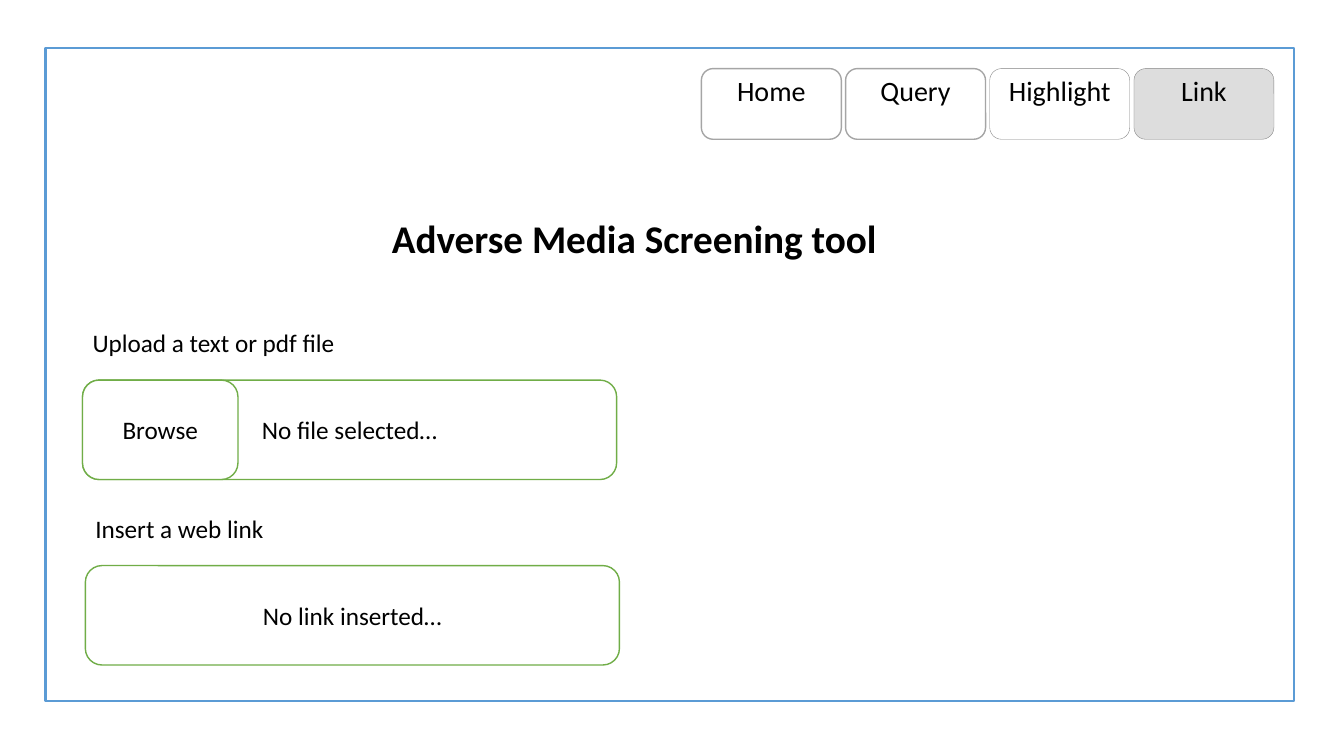
from pptx import Presentation
from pptx.dml.color import RGBColor
from pptx.enum.shapes import MSO_SHAPE
from pptx.enum.text import MSO_ANCHOR, MSO_AUTO_SIZE, PP_ALIGN
from pptx.util import Pt

RECT, ROUND = MSO_SHAPE.RECTANGLE, MSO_SHAPE.ROUNDED_RECTANGLE
TOP, MIDDLE = MSO_ANCHOR.TOP, MSO_ANCHOR.MIDDLE
LEFT, CENTER = PP_ALIGN.LEFT, PP_ALIGN.CENTER

# Content
TITLE = "Adverse Media Screening tool"
TABS = [  # label, fill, line, line width
    ("Home", "white", "tab_line", 1),
    ("Query", "white", "tab_line", 1),
    ("Highlight", "white", "thin_line", 0.25),
    ("Link", "active", "thin_line", 0.25),
]
FIELDS = [  # label, hint, button, left, top
    ("Upload a text or pdf file", "No file selected…", "Browse", 59, 271.5),
    ("Insert a web link", "No link inserted…", None, 61, 404),
]

THEME = {
    "font": "Calibri", "title": 28, "tab": 20, "text": 18,
    "black": "000000", "white": "FFFFFF", "active": "DDDDDD",
    "frame": "5B9BD5", "field": "70AD47",
    "tab_line": "A5A5A5", "thin_line": "808080",
}

# Layout, in points
FRAME = (32.5, 34.5, 892, 466)
TITLE_BOX = (259, 153.5, 388, 51)
TAB_LEFT, TAB_TOP, TAB_W, TAB_H, TAB_PITCH = 501, 49, 100, 50.5, 103
FIELD_W, FIELD_H, BUTTON_W = 381.5, 71, 111
LABEL_W, LABEL_H, LABEL_RISE = 364, 29, 41


def color(name):
    return RGBColor.from_string(THEME[name])


def write(shape, text, size, align=CENTER, anchor=MIDDLE, bold=False):
    tf = shape.text_frame
    tf.word_wrap = True
    tf.vertical_anchor = anchor
    p = tf.paragraphs[0]
    p.text = text
    p.alignment = align
    p.font.name = THEME["font"]
    p.font.size = Pt(THEME[size])
    p.font.bold = bold
    p.font.color.rgb = color("black")
    return tf


def add_box(s, kind, box, fill, line, width):
    sp = s.shapes.add_shape(kind, *map(Pt, box))
    sp.shadow.inherit = False
    sp.fill.solid()
    sp.fill.fore_color.rgb = color(fill)
    sp.line.color.rgb = color(line)
    sp.line.width = Pt(width)
    return sp


def add_field(s, label, hint, button, left, top):
    box = (left, top, FIELD_W, FIELD_H)
    write(add_box(s, ROUND, box, "white", "field", 1), hint, "text")
    if button:
        box = (left, top, BUTTON_W, FIELD_H)
        write(add_box(s, ROUND, box, "white", "field", 1), button, "text")
    box = (left, top - LABEL_RISE, LABEL_W, LABEL_H)
    tf = write(s.shapes.add_textbox(*map(Pt, box)), label, "text", LEFT, TOP)
    tf.auto_size = MSO_AUTO_SIZE.SHAPE_TO_FIT_TEXT


def add_title(s):
    sp = s.shapes.title
    sp.left, sp.top, sp.width, sp.height = map(Pt, TITLE_BOX)
    tf = write(sp, TITLE, "title", anchor=TOP, bold=True)
    tf.auto_size = MSO_AUTO_SIZE.NONE
    tf.paragraphs[0].line_spacing = 0.9
    # Bring the title in front of the frame
    s.shapes._spTree.append(sp._element)


def main():
    prs = Presentation()
    prs.slide_width, prs.slide_height = Pt(960), Pt(540)
    s = prs.slides.add_slide(prs.slide_layouts[5])

    # Window frame and title
    add_box(s, RECT, FRAME, "white", "frame", 1.5)
    add_title(s)

    # Upload and link fields
    for field in FIELDS:
        add_field(s, *field)

    # Navigation tabs
    for i, (label, fill, line, width) in enumerate(TABS):
        box = (TAB_LEFT + i * TAB_PITCH, TAB_TOP, TAB_W, TAB_H)
        sp = add_box(s, ROUND, box, fill, line, width)
        tf = write(sp, label, "tab", anchor=TOP)
        tf.margin_top = Pt(1.2)

    prs.save("out.pptx")


if __name__ == "__main__":
    main()
